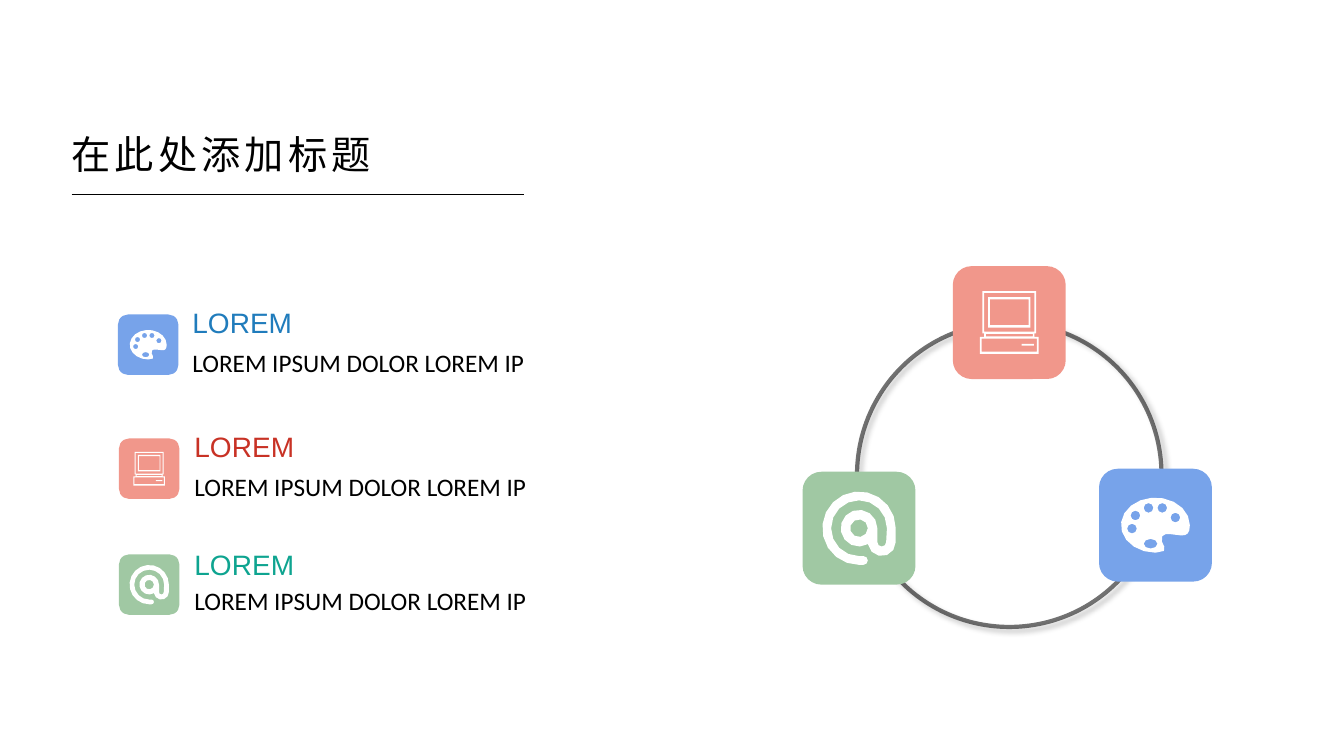
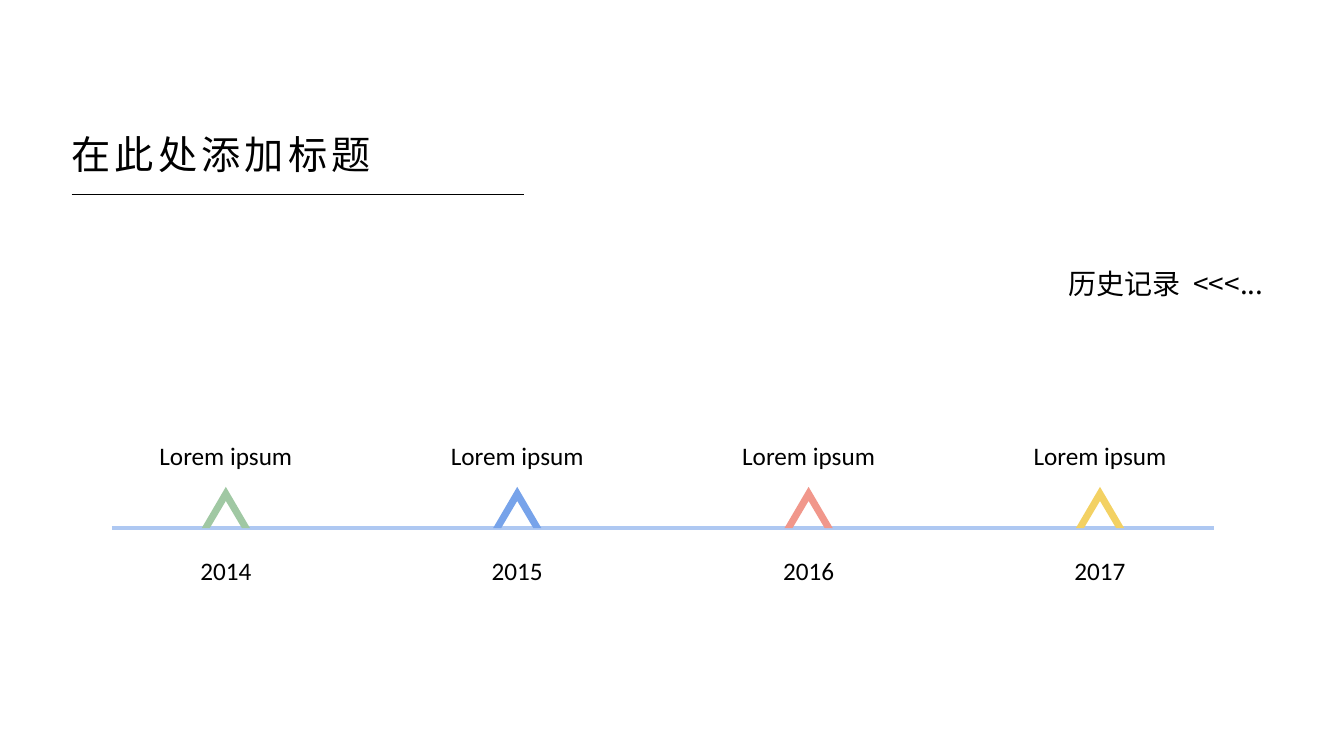
import math

import lxml.etree
import pptx
import pptx.dml.color
import pptx.enum.shapes
import pptx.enum.text
import pptx.oxml.ns
import pptx.util

Inches = pptx.util.Inches
Pt = pptx.util.Pt
RGBColor = pptx.dml.color.RGBColor
SHAPE = pptx.enum.shapes.MSO_SHAPE
ALIGN = pptx.enum.text.PP_ALIGN
ANCHOR = pptx.enum.text.MSO_ANCHOR
qn = pptx.oxml.ns.qn

BLACK = RGBColor(0x00, 0x00, 0x00)
WHITE = RGBColor(0xFF, 0xFF, 0xFF)
BLUE = RGBColor(0x77, 0xA3, 0xEA)
RED = RGBColor(0xF1, 0x97, 0x8B)
GREEN = RGBColor(0xA0, 0xC8, 0xA3)
GOLD = RGBColor(0xF3, 0xD1, 0x63)
PALE = RGBColor(0xAE, 0xC8, 0xF2)
DEEP_BLUE = RGBColor(0x20, 0x7C, 0xBC)
DEEP_RED = RGBColor(0xC8, 0x32, 0x25)
TEAL = RGBColor(0x0E, 0xA4, 0x90)

TITLE = "在此处添加标题"
TITLE_FONT = {"name": "Noto Sans CJK JP", "size": Pt(28)}
NOTE_FONT = {"name": "Noto Sans CJK SC", "size": Pt(20)}
HEAD_FONT = {"name": "Arial", "size": Pt(20)}
BODY_FONT = {"name": "Calibri", "size": Pt(18)}

HEAD = "LOREM"
BODY = "LOREM IPSUM DOLOR LOREM IP"
# icon, head colour, tile left, tile top, text left, head top, body top
LEGEND = [
    ("palette", DEEP_BLUE, 1.17, 3.12, 1.81, 2.98, 3.40),
    ("screen", DEEP_RED, 1.18, 4.35, 1.83, 4.21, 4.63),
    ("at", TEAL, 1.18, 5.50, 1.83, 5.38, 5.76),
]
RING_TILES = [("screen", 9.45, 2.64), ("at", 7.96, 4.68), ("palette", 10.9, 4.65)]

NOTE = "历史记录  <<<..."
EVENTS = [
    ("2014", "Lorem ipsum", GREEN),
    ("2015", "Lorem ipsum", BLUE),
    ("2016", "Lorem ipsum", RED),
    ("2017", "Lorem ipsum", GOLD),
]
FIRST, STEP, AXIS = 2.24, 2.89, 5.24
PEAK = [(0, -0.41), (0.24, 0), (0.16, 0), (0, -0.27), (-0.16, 0), (-0.24, 0)]


def arc(x, y, rx, ry, start, end):
    """Points on an ellipse, in degrees clockwise from the right."""
    span = abs(end - start)
    count = max(span // 45, round(span * math.sqrt(rx) / 14))
    turns = [math.radians(start + (end - start) * i / count) for i in range(count + 1)]
    return [(x + rx * math.cos(t), y + ry * math.sin(t)) for t in turns]


def disc(x, y, rx, ry=None):
    return arc(x, y, rx, ry or rx, 0, 360)[:-1]


def curve(*knots):
    """Points on a cubic Bezier with four knots, after the first."""
    points = []
    for i in range(1, 5):
        t = i / 4
        parts = ((1 - t) ** 3, 3 * t * (1 - t) ** 2, 3 * t * t * (1 - t), t ** 3)
        points.append(tuple(sum(w * k[n] for w, k in zip(parts, knots)) for n in (0, 1)))
    return points


def box(left, top, right, bottom):
    return [(left, top), (right, top), (right, bottom), (left, bottom)]


def mirror(half):
    """Close a left half outline with its right half."""
    return half + [(1 - x, y) for x, y in reversed(half)]


# Icons have unit width: tile colour, share of tile width, height, outlines
ICONS = {
    "screen": (RED, 0.52, 1.07, [
        mirror([(0.04, 0), (0.04, 0.72), (0.07, 0.72), (0.07, 0.78), (0, 0.78), (0, 1.07)]),
        box(0.03, 0.81, 0.97, 1.03),
        box(0.07, 0.03, 0.93, 0.69),
        box(0.1, 0.73, 0.9, 0.77),
        box(0.14, 0.1, 0.86, 0.62),
        box(0.17, 0.14, 0.83, 0.58),
        box(0.71, 0.9, 0.92, 0.93),
    ]),
    "at": (GREEN, 0.65, 1, [
        arc(0.5, 0.5, 0.5, 0.5, 0, -270)
        + arc(0.56, 0.94, 0.06, 0.06, 90, -90)
        + arc(0.5, 0.5, 0.38, 0.38, -270, 0)
        + arc(0.81, 0.69, 0.06, 0.06, 0, 180)
        + arc(0.5, 0.5, 0.25, 0.25, 0, -300)
        + arc(0.81, 0.69, 0.19, 0.19, 170, 0),
        disc(0.5, 0.5, 0.12),
    ]),
    "palette": (BLUE, 0.61, 0.8, [
        arc(0.5, 0.4, 0.5, 0.4, 90, 360)
        + curve((1, 0.4), (1, 0.52), (0.96, 0.55), (0.88, 0.55))
        + [(0.71, 0.53), (0.65, 0.53), (0.6, 0.56)]
        + curve((0.6, 0.56), (0.53, 0.65), (0.78, 0.8), (0.5, 0.8))[:-1],
        disc(0.79, 0.29, 0.07),
        disc(0.6, 0.15, 0.07),
        disc(0.4, 0.15, 0.07),
        disc(0.21, 0.26, 0.07),
        disc(0.16, 0.45, 0.07),
        disc(0.43, 0.67, 0.1, 0.07),
    ]),
}


def paint(shape, fill):
    shape.shadow.inherit = False
    shape.fill.solid()
    shape.fill.fore_color.rgb = fill
    shape.line.fill.background()


def add_node(parent, tag, **values):
    return lxml.etree.SubElement(parent, qn(tag), {k: str(v) for k, v in values.items()})


def fade(shape, percent):
    for color in list(shape.element.spPr.iter(qn("a:srgbClr"))):
        add_node(color, "a:alpha", val=percent * 1000)


def write(frame, text, font, color=BLACK, align=ALIGN.LEFT, anchor=ANCHOR.TOP, gap=0):
    """Fill a frame with one line; gap is letter spacing in points."""
    frame.word_wrap = True
    frame.vertical_anchor = anchor
    line = frame.paragraphs[0]
    line.alignment = align
    run = line.add_run()
    run.text = text
    for key, value in font.items():
        setattr(run.font, key, value)
    run.font.color.rgb = color
    props = run._r.get_or_add_rPr()
    add_node(props, "a:ea", typeface=font["name"])
    if gap:
        props.set("spc", str(gap * 100))


def add_text(slide, left, top, width, height, text, font, **style):
    area = slide.shapes.add_textbox(*map(Inches, (left, top, width, height)))
    write(area.text_frame, text, font, **style)


def add_rule(slide, left, right, y, color, width):
    rule = slide.shapes.add_connector(
        pptx.enum.shapes.MSO_CONNECTOR.STRAIGHT, *map(Inches, (left, y, right, y)))
    rule.line.color.rgb = color
    rule.line.width = Pt(width)
    add_node(rule.element.spPr, "a:effectLst")


def add_form(slide, loops, left, top, scale, fill):
    """Draw closed outlines as one shape; inner ones become holes."""
    pen = None
    for loop in loops:
        points = [(Inches(left + x * scale), Inches(top + y * scale)) for x, y in loop]
        if pen is None:
            pen = slide.shapes.build_freeform(*points[0])
        else:
            pen.move_to(*points[0])
        pen.add_line_segments(points[1:], close=True)
    paint(pen.convert_to_shape(), fill)


def add_tile(slide, name, left, top, size):
    fill, share, height, loops = ICONS[name]
    tile = slide.shapes.add_shape(
        SHAPE.ROUNDED_RECTANGLE, *map(Inches, (left, top, size, size)))
    paint(tile, fill)
    scale = size * share
    add_form(slide, loops, left + (size - scale) / 2,
             top + (size - scale * height) / 2, scale, WHITE)


def add_base(deck):
    """Add a slide with the panel, title and rule; return slide and panel."""
    slide = deck.slides.add_slide(deck.slide_layouts[6])
    panel = slide.shapes.add_shape(
        SHAPE.RECTANGLE, *map(Inches, (0.71, 2.34, 11.92, 4.35)))
    paint(panel, WHITE)
    fade(panel, 79)
    add_text(slide, 0.61, 1.24, 4.28, 0.57, TITLE, TITLE_FONT,
             align=ALIGN.JUSTIFY, gap=3)
    add_rule(slide, 0.71, 5.2, 1.93, BLACK, 0.5)
    return slide, panel


def add_ring(slide):
    ring = slide.shapes.add_shape(SHAPE.OVAL, *map(Inches, (8.5, 3.2, 3.02, 3.02)))
    ring.fill.background()
    ring.line.color.rgb = BLACK
    ring.line.width = Pt(3)
    fade(ring, 54)
    ring.shadow.inherit = False
    effects = ring.element.spPr.find(qn("a:effectLst"))
    shadow = add_node(effects, "a:outerShdw", blurRad=Pt(4), dist=Pt(3),
                      dir=45 * 60000, algn="tl", rotWithShape=0)
    add_node(add_node(shadow, "a:srgbClr", val=BLACK), "a:alpha", val=40000)


def build_cycle(deck):
    slide, _ = add_base(deck)
    add_ring(slide)
    for name, left, top in RING_TILES:
        add_tile(slide, name, left, top, 1.12)
    for name, color, left, top, text_left, head_top, body_top in LEGEND:
        add_tile(slide, name, left, top, 0.6)
        add_text(slide, text_left, head_top, 4.46, 0.44, HEAD, HEAD_FONT, color=color)
        add_text(slide, text_left, body_top, 4.46, 0.44, BODY, BODY_FONT)


def build_history(deck):
    slide, panel = add_base(deck)
    panel.text_frame.margin_top = Inches(0.3)
    write(panel.text_frame, NOTE, NOTE_FONT, align=ALIGN.RIGHT)
    add_rule(slide, 1.11, 12.04, AXIS, PALE, 2.5)
    for i, (year, label, color) in enumerate(EVENTS):
        x = FIRST + i * STEP
        add_form(slide, [PEAK], x, AXIS, 1, color)
        add_text(slide, x - 0.54, 5.46, 1.08, 0.49, year, BODY_FONT, align=ALIGN.CENTER)
        add_text(slide, x - 0.77, 3.86, 1.54, 0.86, label, BODY_FONT,
                 align=ALIGN.CENTER, anchor=ANCHOR.BOTTOM)


def main():
    deck = pptx.Presentation()
    deck.slide_width = Inches(13.33)
    deck.slide_height = Inches(7.5)
    build_cycle(deck)
    build_history(deck)
    deck.save("out.pptx")


if __name__ == "__main__":
    main()
